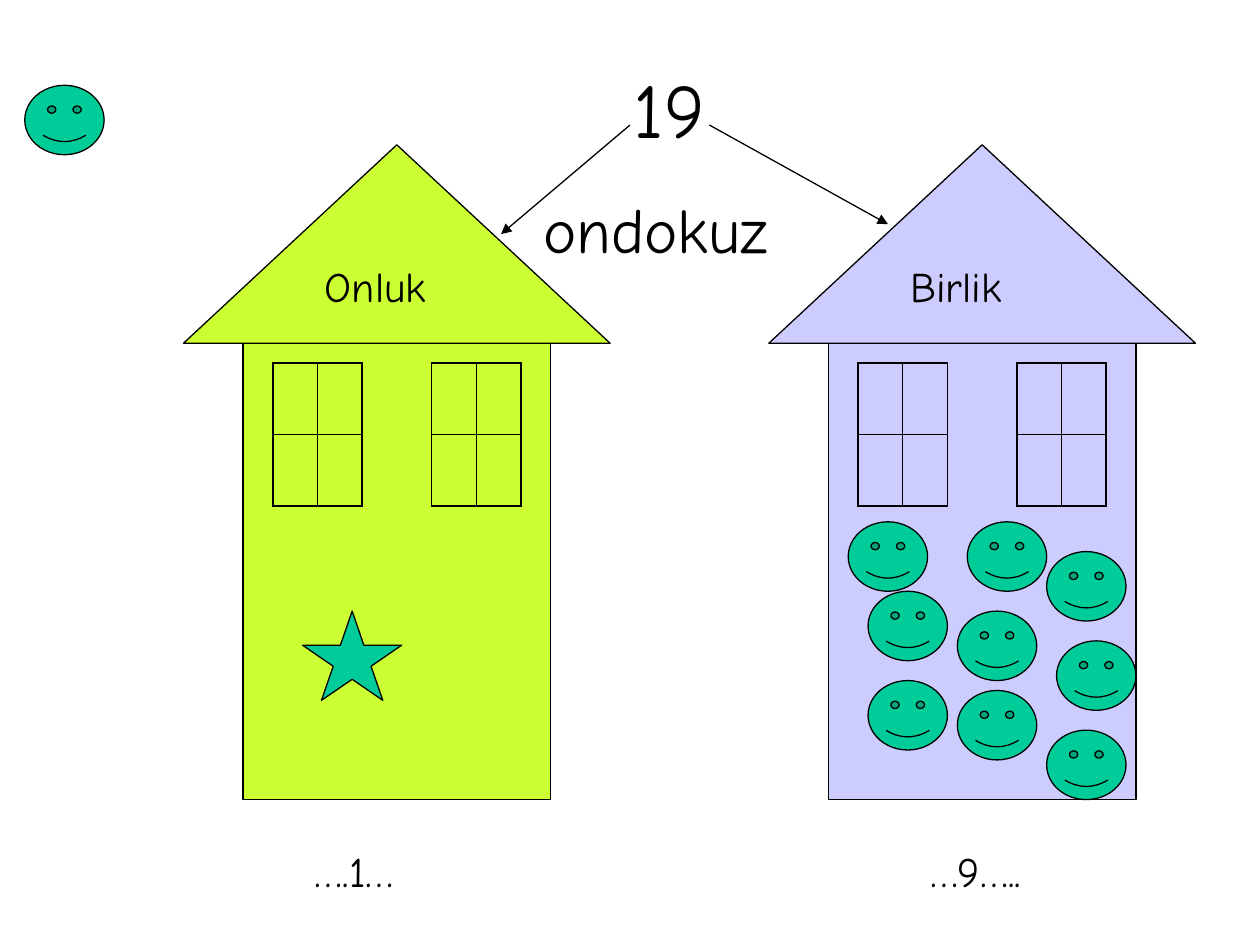
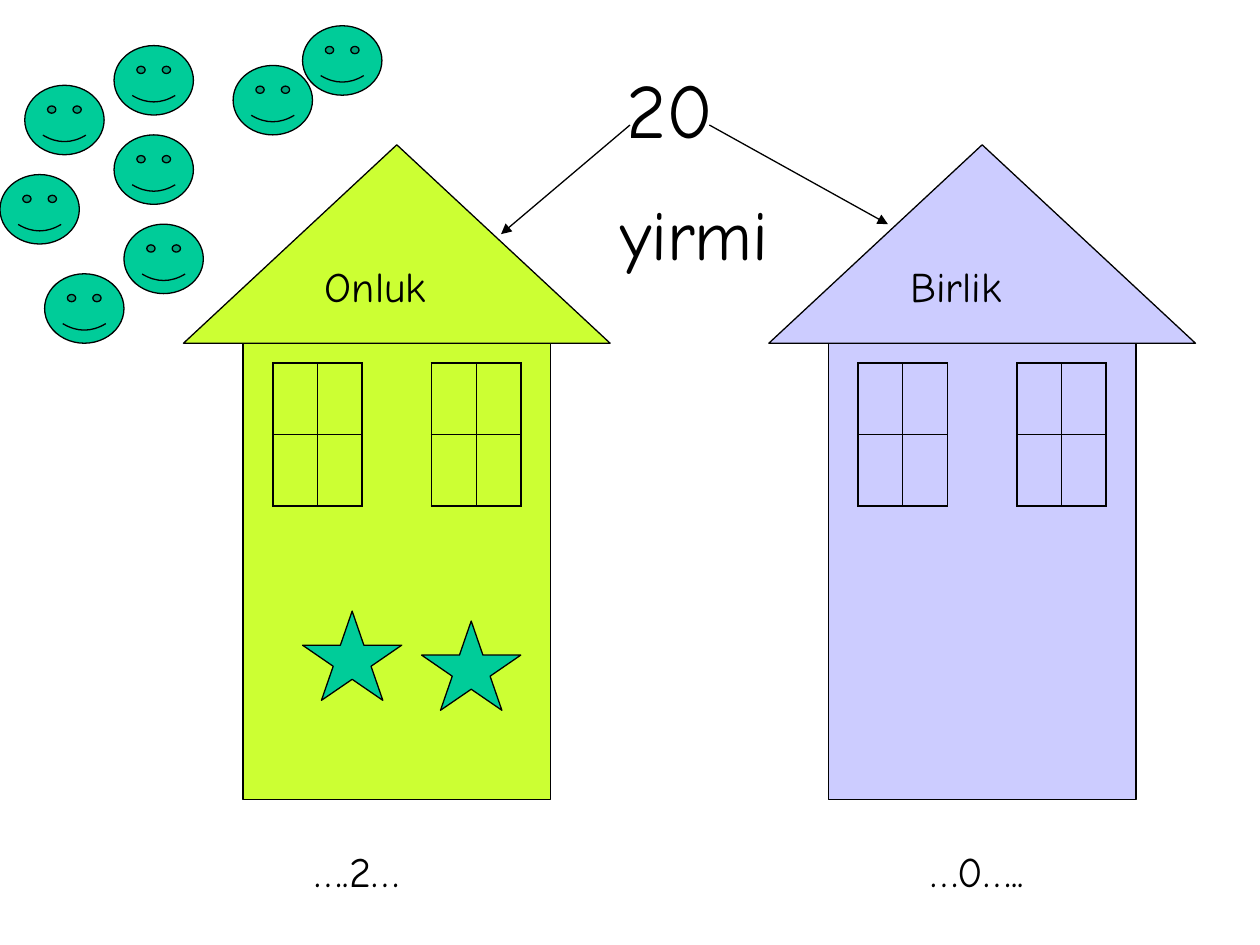
"""Build two place-value slides that split a number into tens and ones houses."""
from dataclasses import dataclass

from lxml.etree import SubElement
from pptx import Presentation
from pptx.dml.color import RGBColor as Rgb
from pptx.enum.shapes import MSO_CONNECTOR as Connector, MSO_SHAPE as Shape
from pptx.enum.text import MSO_ANCHOR as Anchor, MSO_AUTO_SIZE as AutoSize, PP_ALIGN as Align
from pptx.oxml.ns import qn
from pptx.util import Inches, Pt


@dataclass(frozen=True)
class Theme:
    """Colours, type and line widths shared by the slides."""
    ink: Rgb = Rgb(0, 0, 0)
    tens: Rgb = Rgb(0xCC, 0xFF, 0x33)
    ones: Rgb = Rgb(0xCC, 0xCC, 0xFF)
    counter: Rgb = Rgb(0x00, 0xCC, 0x99)
    font: str = "Comic Neue"
    number_size: int = 44
    label_size: int = 24
    outline: float = 0.75
    frame: float = 1.08
    glazing: float = 0.45
    spacing_share: float = 0.625


THEME = Theme()
COLUMNS = 127
CELL = Inches(10) // COLUMNS
ORIGIN = (0.5, 0.6)
HOUSES = ((18, "Onluk", THEME.tens), (77, "Birlik", THEME.ones))
ARROWS = (((71, 12), (89, 22)), ((63, 12), (50, 23)))
TEXT_FRAME = {"word_wrap": True, "auto_size": AutoSize.SHAPE_TO_FIT_TEXT,
              "vertical_anchor": Anchor.TOP,
              "margin_left": Inches(0.1), "margin_right": Inches(0.1),
              "margin_top": Inches(0.05), "margin_bottom": Inches(0.05)}
LESSONS = (
    {"number": 19, "word": ("ondokuz", (53, 18, 32, 8.9), 36, Align.LEFT),
     "stars": [(30, 61)],
     "faces": [(2, 8), (97, 52), (85, 52), (96, 69), (105, 73), (87, 68),
               (96, 61), (105, 55), (106, 64), (87, 59)]},
    {"number": 20, "word": ("yirmi", (56, 18, 27, 9.8), 40, Align.CENTER),
     "stars": [(30, 61), (42, 62)],
     "faces": [(2, 8), (23, 6), (11, 4), (11, 13), (-0.5, 17), (4, 27),
               (30, 2), (12, 22)]},
)


def point(column, row):
    """Turn a grid position into slide lengths."""
    return round((column + ORIGIN[0]) * CELL), round((row + ORIGIN[1]) * CELL)


def area(column, row, columns, rows):
    """Turn a grid area into left, top, width and height."""
    return *point(column, row), round(columns * CELL), round(rows * CELL)


def apply(target, values):
    """Set every attribute in a dict of format values."""
    for name, value in values.items():
        setattr(target, name, value)


def ink_line(line, width=THEME.outline):
    """Give a line the ink colour and a width."""
    line.color.rgb = THEME.ink
    line.width = Pt(width)


def write(holder, text, size, align=Align.LEFT):
    """Write one formatted paragraph into a text holder."""
    frame = holder.text_frame
    apply(frame, TEXT_FRAME)
    paragraph = frame.paragraphs[0]
    apply(paragraph, {"text": text, "alignment": align, "line_spacing": 1.0,
                      "space_before": Pt(size * THEME.spacing_share)})
    font = paragraph.runs[0].font
    apply(font, {"name": THEME.font, "size": Pt(size), "bold": False})
    font.color.rgb = THEME.ink


def add_text(slide, text, place, size=THEME.label_size, align=Align.LEFT):
    """Add text on a grid area."""
    write(slide.shapes.add_textbox(*area(*place)), text, size, align)


def add_figure(slide, preset, place, colour):
    """Add an outlined preset shape on a grid area."""
    figure = slide.shapes.add_shape(preset, *area(*place))
    figure.shadow.inherit = False
    figure.fill.solid()
    figure.fill.fore_color.rgb = colour
    ink_line(figure.line)


def add_pane_border(pane, side, width):
    """Draw one border of a window pane."""
    border = SubElement(pane._tc.get_or_add_tcPr(), qn(f"a:{side}"), w=str(Pt(width)))
    paint = SubElement(border, qn("a:solidFill"))
    SubElement(paint, qn("a:srgbClr"), val=str(THEME.ink))


def add_window(slide, column, row):
    """Add a two by two window with a heavier frame than glazing."""
    window = slide.shapes.add_table(2, 2, *area(column, row, 9, 14.4)).table
    apply(window, {"first_row": False, "horz_banding": False})
    for down in range(2):
        for across in range(2):
            pane = window.cell(down, across)
            outer = {"lnL": across == 0, "lnR": across == 1,
                     "lnT": down == 0, "lnB": down == 1}
            for side, is_frame in outer.items():
                add_pane_border(pane, side, THEME.frame if is_frame else THEME.glazing)
            pane.fill.background()


def add_house(slide, column, label, colour):
    """Add a labelled house whose roof starts at a column."""
    add_figure(slide, Shape.ISOSCELES_TRIANGLE, (column, 14, 43, 20), colour)
    add_figure(slide, Shape.RECTANGLE, (column + 6, 34, 31, 46), colour)
    add_text(slide, label, (column + 13, 25, 17, 6.35))
    for offset in (9, 25):
        add_window(slide, column + offset, 36)


def add_arrow(slide, start, end):
    """Add an arrow between two grid positions."""
    arrow = slide.shapes.add_connector(Connector.STRAIGHT, *point(*start), *point(*end))
    ink_line(arrow.line)
    SubElement(arrow.line._get_or_add_ln(), qn("a:tailEnd"), type="triangle")
    SubElement(arrow._element.spPr, qn("a:effectLst"))


def add_number(slide, number):
    """Place the number in the title."""
    title = slide.shapes.title
    apply(title, dict(zip(("left", "top", "width", "height"), area(53, 5, 28, 10.7))))
    write(title, str(number), THEME.number_size, Align.CENTER)


def add_lesson(deck, number, word, stars, faces):
    """Add a slide that splits a number into tens and ones."""
    slide = deck.slides.add_slide(deck.slide_layouts[5])
    add_number(slide, number)
    for house in HOUSES:
        add_house(slide, *house)
    for face in faces:
        add_figure(slide, Shape.SMILEY_FACE, (*face, 8, 7), THEME.counter)
    tens, ones = divmod(number, 10)
    add_text(slide, f"….{tens}…", (30, 84, 17, 6.35))
    add_text(slide, f"…{ones}…..", (92, 84, 17, 6.35))
    for start, end in ARROWS:
        add_arrow(slide, start, end)
    add_text(slide, *word)
    for star in stars:
        add_figure(slide, Shape.STAR_5_POINT, (*star, 10, 9), THEME.counter)


def main():
    """Build and save the deck."""
    deck = Presentation()
    apply(deck, {"slide_width": Inches(10), "slide_height": Inches(7.5)})
    for lesson in LESSONS:
        add_lesson(deck, **lesson)
    deck.save("out.pptx")


if __name__ == "__main__":
    main()
